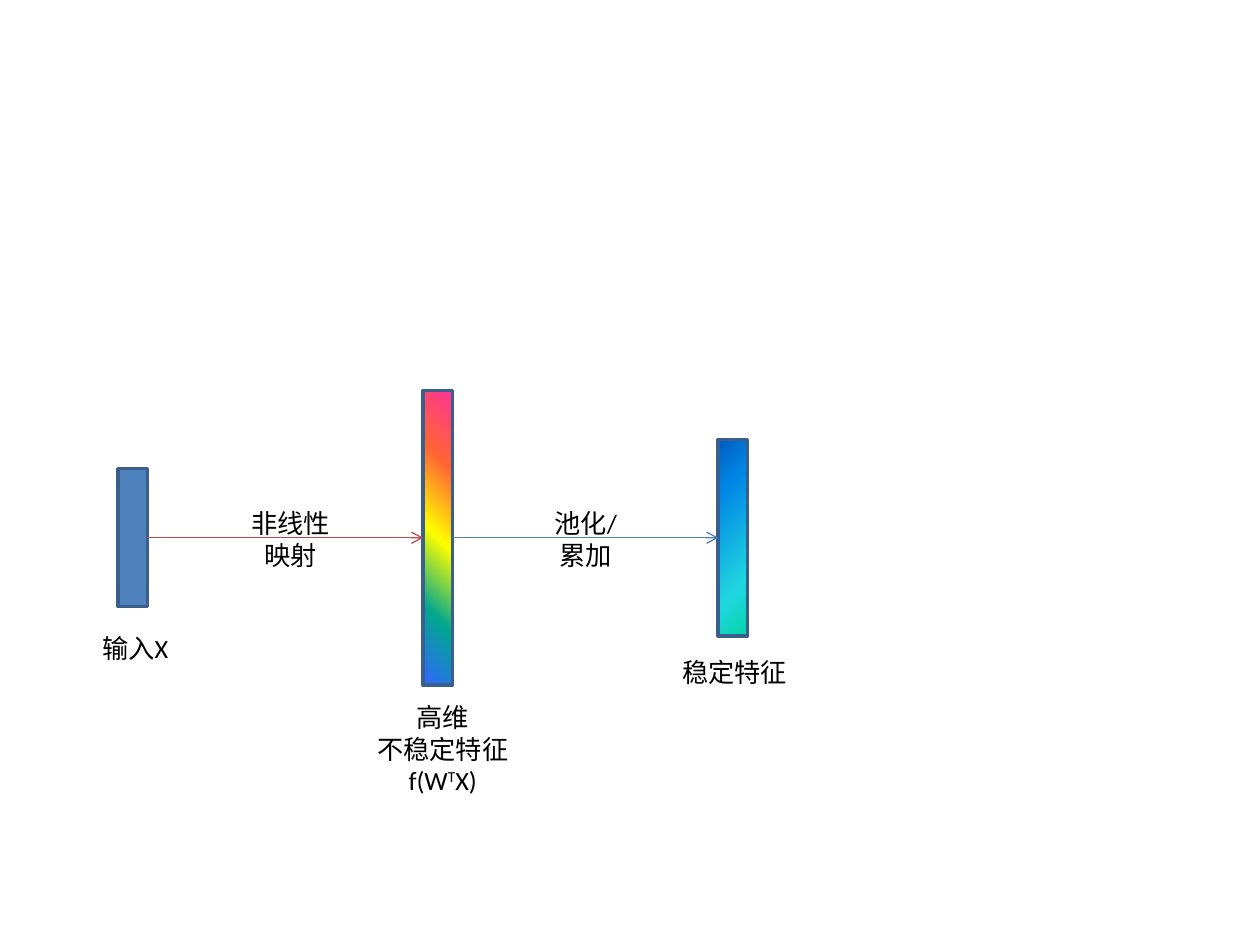
from lxml import etree
from pptx import Presentation
from pptx.dml.color import RGBColor
from pptx.enum import shapes, text
from pptx.oxml import ns
from pptx.util import Cm, Pt

AXIS_Y = 10.84
BAR_W = 0.59
HOT = [(0, "FF3399"), (25, "FF6633"), (50, "FFFF00"), (75, "01A78F"), (100, "3366FF")]
COOL = [(0, "03D4A8"), (25, "21D6E0"), (75, "0087E6"), (100, "005CBF")]


def rgb(value):
    return RGBColor.from_string(value)


def child(parent, tag, **attrs):
    return etree.SubElement(parent, ns.qn(tag), {k: str(v) for k, v in attrs.items()})


def set_gradient(sp, stops, angle=None):
    sp.fill.gradient()
    grad = sp._element.spPr.find(ns.qn("a:gradFill"))
    for old in list(grad):
        grad.remove(old)
    stop_list = child(grad, "a:gsLst")
    for position, color in stops:
        stop = child(stop_list, "a:gs", pos=position * 1000)
        child(stop, "a:srgbClr", val=color)
    if angle is None:
        circle = child(grad, "a:path", path="circle")
        child(circle, "a:fillToRect", l=100000, t=100000)
    else:
        child(grad, "a:lin", ang=angle * 60000, scaled=0)


def add_label(s, box, lines):
    sp = s.shapes.add_textbox(*map(Cm, box))
    tf = sp.text_frame
    tf.word_wrap = True
    tf.auto_size = text.MSO_AUTO_SIZE.SHAPE_TO_FIT_TEXT
    tf.text = "\n".join(lines)
    for p in tf.paragraphs:
        p.alignment = text.PP_ALIGN.CENTER
        for r in p.runs:
            format_run(r)
    return tf


def format_run(r):
    r.font.size = Pt(15)
    r.font.name = "Calibri"
    r.font.color.rgb = rgb("000000")


def add_bar(s, box):
    sp = s.shapes.add_shape(shapes.MSO_SHAPE.FLOWCHART_PROCESS, *map(Cm, box))
    sp.shadow.inherit = False
    sp.fill.solid()
    sp.fill.fore_color.rgb = rgb("4F81BD")
    sp.line.color.rgb = rgb("3A5F8C")
    sp.line.width = Pt(2)
    return sp


def add_stage(s, left, height, label_box, lines):
    sp = add_bar(s, (left, AXIS_Y - height / 2, BAR_W, height))
    dx, gap, width, label_height = label_box
    label = (left + dx, AXIS_Y + height / 2 + gap, width, label_height)
    return sp, add_label(s, label, lines)


def add_step(s, start, end, color, label_box, lines):
    line = s.shapes.add_connector(
        shapes.MSO_CONNECTOR.STRAIGHT, Cm(start), Cm(AXIS_Y), Cm(end), Cm(AXIS_Y))
    line.line.color.rgb = rgb(color)
    line.line.width = Pt(0.75)
    child(line.line._get_or_add_ln(), "a:tailEnd", type="arrow")
    child(line._element.spPr, "a:effectLst")
    dx, dy, width, height = label_box
    add_label(s, (start + dx, AXIS_Y + dy, width, height), lines)


def add_superscript(p, parts):
    p.text = ""
    for content, raised in parts:
        r = p.add_run()
        r.text = content
        format_run(r)
        if raised:
            r.font._element.set("baseline", "30000")


def main():
    prs = Presentation()
    prs.slide_width, prs.slide_height = Cm(25.4), Cm(19.05)
    s = prs.slides.add_slide(prs.slide_layouts[6])

    source_x, feature_x, stable_x = 2.38, 8.53, 14.48
    add_stage(s, source_x, 2.78, (-0.58, 0.4, 1.85, 0.89), ["输入X"])
    feature, tf = add_stage(s, feature_x, 5.94, (-1.2, 0.21, 3.19, 2.18),
                            ["高维", "不稳定特征", "f(WTX)"])
    add_superscript(tf.paragraphs[2], [("f(W", False), ("T", True), ("X)", False)])
    set_gradient(feature, HOT, 135)
    stable, _ = add_stage(s, stable_x, 3.96, (-1, 0.29, 2.66, 0.89), ["稳定特征"])
    set_gradient(stable, COOL)

    add_step(s, source_x + BAR_W, feature_x, "BF4C48",
             (1.4, -0.73, 2.97, 1.55), ["非线性", "映射"])
    add_step(s, feature_x + BAR_W, stable_x, "4B7EBC",
             (1.8, -0.73, 1.78, 1.55), ["池化/", "累加"])
    prs.save("out.pptx")


if __name__ == "__main__":
    main()
